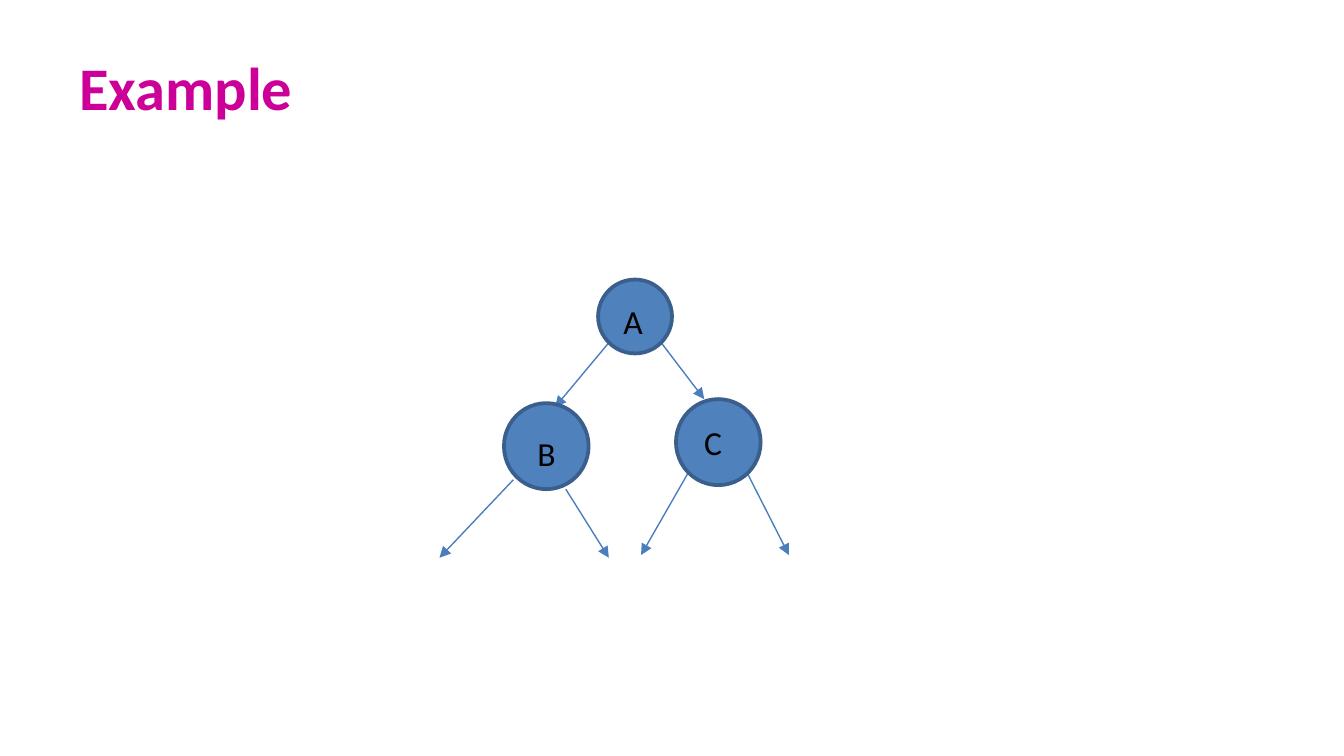
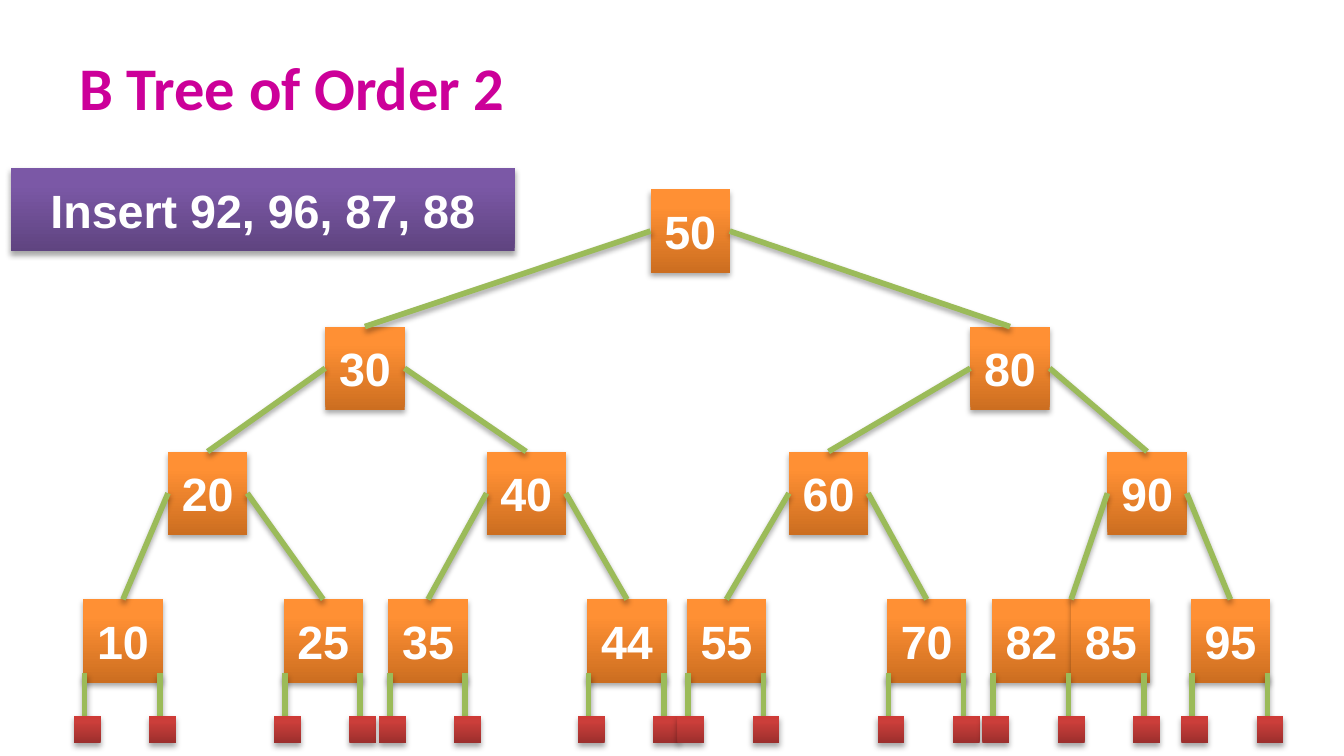
from copy import deepcopy

from pptx import Presentation
from pptx.dml.color import RGBColor
from pptx.enum.shapes import MSO_CONNECTOR, MSO_SHAPE
from pptx.enum.text import MSO_ANCHOR, MSO_AUTO_SIZE, PP_ALIGN
from pptx.oxml import parse_xml
from pptx.oxml.ns import nsdecls, qn
from pptx.util import Inches, Pt

# Widescreen page, 16:9
SLIDE_WIDTH = Inches(10)
SLIDE_HEIGHT = SLIDE_WIDTH * 9 // 16

# Colours
MAGENTA = RGBColor(0xCC, 0x00, 0x99)
BLACK = RGBColor(0x00, 0x00, 0x00)
WHITE = RGBColor(0xFF, 0xFF, 0xFF)
CIRCLE_BLUE = RGBColor(0x4F, 0x81, 0xBD)
CIRCLE_EDGE = RGBColor(0x3A, 0x5F, 0x8C)
ARROW_BLUE = RGBColor(0x4B, 0x7E, 0xBC)
BRANCH_GREEN = RGBColor(0x9B, 0xBB, 0x59)

# Gradients from bottom to top
STOPS = (0, 0.8, 1)
ORANGE = (RGBColor(0xCC, 0x6E, 0x20), RGBColor(0xFF, 0x90, 0x34), RGBColor(0xFF, 0x91, 0x36))
RED = (RGBColor(0x9C, 0x2F, 0x2D), RGBColor(0xCB, 0x3E, 0x3A), RGBColor(0xCE, 0x3B, 0x37))
PURPLE = (RGBColor(0x5F, 0x44, 0x80), RGBColor(0x7B, 0x58, 0xA6), RGBColor(0x7C, 0x57, 0xA8))

# Text formats
TITLE_FONT = {"name": "Calibri", "size": Pt(32.4), "bold": True}
LABEL_FONT = {"name": "Calibri", "size": Pt(18), "bold": False}
KEY_FONT = {"name": "Arial", "size": Pt(25), "bold": True}
TITLE_FRAME = {"vertical_anchor": MSO_ANCHOR.MIDDLE, "auto_size": MSO_AUTO_SIZE.NONE,
               "word_wrap": True}
LABEL_FRAME = {"auto_size": MSO_AUTO_SIZE.SHAPE_TO_FIT_TEXT, "word_wrap": True}
KEY_FRAME = {"vertical_anchor": MSO_ANCHOR.MIDDLE,
             "auto_size": MSO_AUTO_SIZE.SHAPE_TO_FIT_TEXT, "word_wrap": True,
             "margin_left": Inches(0.1), "margin_right": Inches(0.1),
             "margin_top": Inches(0.1), "margin_bottom": Inches(0.1)}

# Circle tree: offsets from the box, in inches
CIRCLES = ((1.18, 0, 0.55, 0.55), (0.48, 0.92, 0.63, 0.64), (1.76, 0.89, 0.63, 0.64))
LABELS = (("A", 1.27, 0.11, 0.32), ("B", 0.63, 1.09, 0.4), ("C", 1.87, 1.01, 0.24))
ARROWS = (((1.26, 0.47), (0.86, 0.95)), ((1.65, 0.47), (1.97, 0.89)),
          ((0.55, 1.49), (0, 2.07)), ((0.94, 1.56), (1.26, 2.07)),
          ((1.85, 1.44), (1.5, 2.05)), ((2.29, 1.44), (2.6, 2.05)))

# B tree: each level has its top and its nodes as (keys, left)
KEY_WIDTH, KEY_HEIGHT = 0.59, 0.62
DROP_STEP, DROP_TOP, DROP_BOTTOM, NULL_SIZE = 0.56, 3.6, 3.92, 0.2
LEVELS = (
    (0, (("50", 4.22),)),
    (1.02, (("30", 1.8), ("80", 6.6))),
    (1.95, (("20", 0.63), ("40", 3), ("60", 5.25), ("90", 7.62))),
    (3.05, (("10", 0), ("25", 1.49), ("35", 2.27), ("44", 3.75),
            ("55", 4.49), ("70", 5.98), ("82 85", 6.76), ("95", 8.24))),
)


def apply_format(target, values):
    for name, value in values.items():
        setattr(target, name, value)


def write_text(shape, text, frame_format, font_format, color, alignment):
    frame = shape.text_frame
    apply_format(frame, frame_format)
    paragraph = frame.paragraphs[0]
    paragraph.alignment = alignment
    run = paragraph.add_run()
    run.text = text
    apply_format(run.font, font_format)
    run.font.color.rgb = color


def add_shadow(shape):
    shape._element.spPr.append(parse_xml(
        f'<a:effectLst {nsdecls("a")}>'
        '<a:outerShdw blurRad="39370" dist="22860" dir="5400000" rotWithShape="0">'
        '<a:srgbClr val="000000"><a:alpha val="35000"/></a:srgbClr>'
        '</a:outerShdw></a:effectLst>'))


def add_line(shapes, start, end, color, width):
    line = shapes.add_connector(MSO_CONNECTOR.STRAIGHT,
                                *(Inches(value) for value in (*start, *end)))
    line.line.color.rgb = color
    line.line.width = Pt(width)
    return line


def add_arrow(shapes, start, end):
    arrow = add_line(shapes, start, end, ARROW_BLUE, 0.75)
    arrow.line._get_or_add_ln().append(
        parse_xml(f'<a:tailEnd {nsdecls("a")} type="triangle"/>'))
    arrow._element.spPr.append(parse_xml(f'<a:effectLst {nsdecls("a")}/>'))


def add_branch(shapes, start, end):
    add_shadow(add_line(shapes, start, end, BRANCH_GREEN, 3))


def add_block(shapes, box, colors, text=None):
    """Shaded rectangle, with centred text if given."""
    block = shapes.add_shape(MSO_SHAPE.RECTANGLE, *(Inches(value) for value in box))
    block.fill.gradient()
    block.fill.gradient_angle = 90
    stop_list = block._element.spPr.find(".//" + qn("a:gsLst"))
    stop_list.append(deepcopy(stop_list[0]))
    for stop, position, color in zip(block.fill.gradient_stops, STOPS, colors):
        stop.position = position
        stop.color.rgb = color
    block.line.fill.background()
    add_shadow(block)
    if text:
        write_text(block, text, KEY_FRAME, KEY_FONT, WHITE, PP_ALIGN.CENTER)


def add_titled_slide(presentation, text):
    slide = presentation.slides.add_slide(presentation.slide_layouts[5])
    title = slide.shapes.title
    apply_format(title, {"left": Inches(0.49), "top": Inches(0.31),
                         "width": Inches(9.02), "height": Inches(0.67)})
    write_text(title, text, TITLE_FRAME, TITLE_FONT, MAGENTA, PP_ALIGN.LEFT)
    return slide


def draw_circle_tree(shapes, left, top):
    # Arrows
    for start, end in ARROWS:
        add_arrow(shapes, (left + start[0], top + start[1]), (left + end[0], top + end[1]))
    # Nodes
    for x, y, width, height in CIRCLES:
        circle = shapes.add_shape(MSO_SHAPE.OVAL, Inches(left + x), Inches(top + y),
                                  Inches(width), Inches(height))
        circle.shadow.inherit = False
        circle.fill.solid()
        circle.fill.fore_color.rgb = CIRCLE_BLUE
        circle.line.color.rgb = CIRCLE_EDGE
        circle.line.width = Pt(2)
    # Letters
    for letter, x, y, width in LABELS:
        label = shapes.add_textbox(Inches(left + x), Inches(top + y),
                                   Inches(width), Inches(0.4))
        write_text(label, letter, LABEL_FRAME, LABEL_FONT, BLACK, PP_ALIGN.LEFT)


def draw_null_links(shapes, left, top, key_count):
    """Links under one leaf: one more than it has keys."""
    group = shapes.add_group_shape().shapes
    for index in range(key_count + 1):
        x = left + 0.01 + index * DROP_STEP
        add_branch(group, (x, top + DROP_TOP), (x, top + DROP_BOTTOM))
        add_block(group, (x - 0.08, top + DROP_BOTTOM, NULL_SIZE, NULL_SIZE), RED)


def draw_b_tree(shapes, left, top):
    # Keys
    for level_top, nodes in LEVELS:
        for keys, x in nodes:
            for index, key in enumerate(keys.split()):
                add_block(shapes, (left + x + index * KEY_WIDTH, top + level_top,
                                   KEY_WIDTH, KEY_HEIGHT), ORANGE, key)
    # Empty links under the leaves
    for keys, x in LEVELS[-1][1]:
        draw_null_links(shapes, left + x, top, len(keys.split()))
    # Branches from the sides of a parent to the top centre of its children
    for (parent_top, parents), (child_top, children) in zip(LEVELS, LEVELS[1:]):
        for index, (keys, x) in enumerate(children):
            parent_x = parents[index // 2][1] + index % 2 * KEY_WIDTH
            centre = x + len(keys.split()) * KEY_WIDTH / 2
            add_branch(shapes, (left + parent_x, top + parent_top + KEY_HEIGHT / 2),
                       (left + centre, top + child_top))


def main():
    presentation = Presentation()
    presentation.slide_width = SLIDE_WIDTH
    presentation.slide_height = SLIDE_HEIGHT

    example = add_titled_slide(presentation, "Example")
    draw_circle_tree(example.shapes, 3.27, 2.08)

    b_tree = add_titled_slide(presentation, "B Tree of Order 2")
    draw_b_tree(b_tree.shapes, 0.62, 1.41)
    add_block(b_tree.shapes, (0.08, 1.25, 3.75, 0.62), PURPLE, "Insert 92, 96, 87, 88")

    presentation.save("out.pptx")


if __name__ == "__main__":
    main()
